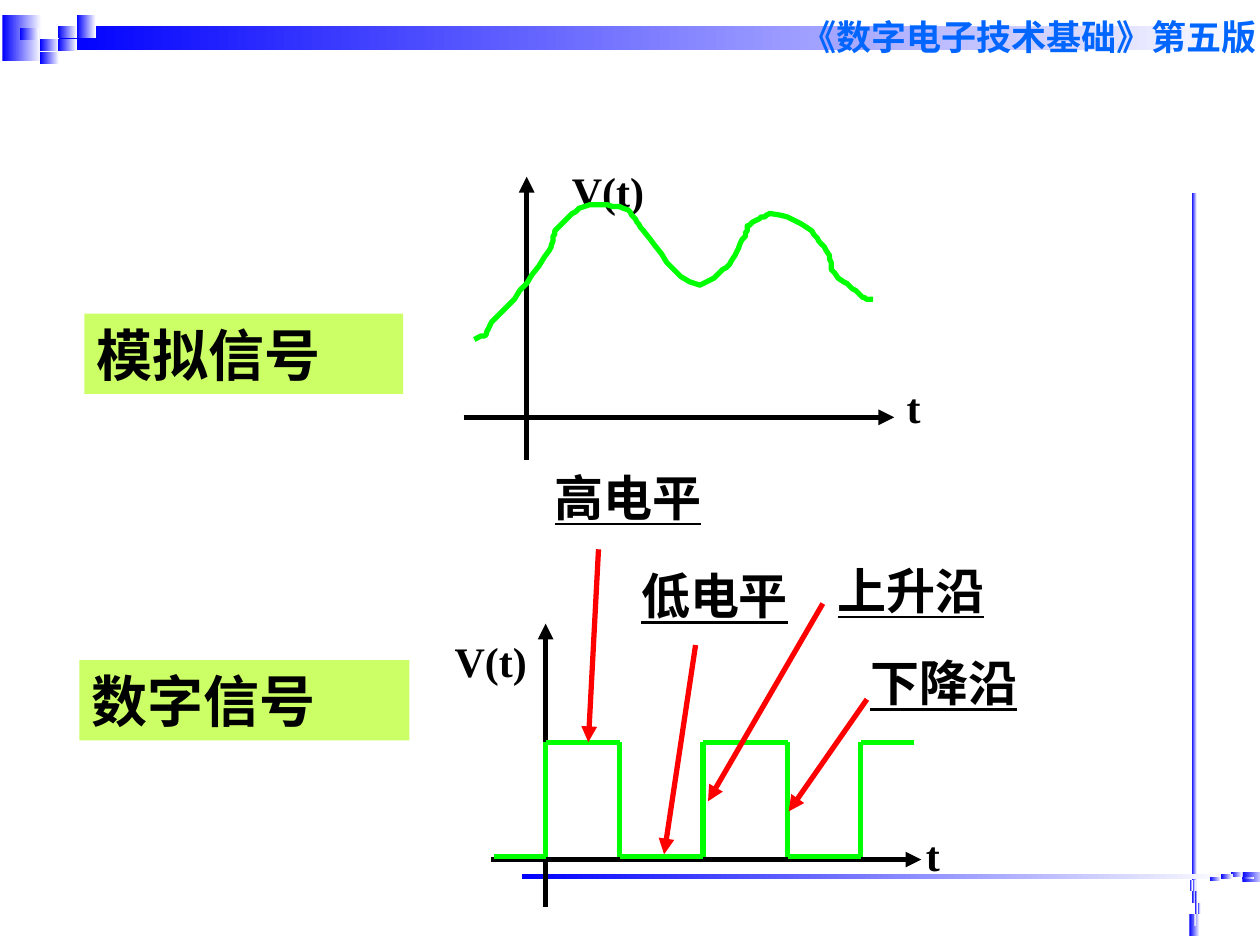
from itertools import pairwise

from lxml.etree import SubElement
from pptx import Presentation
from pptx.dml.color import RGBColor
from pptx.enum.shapes import MSO_CONNECTOR as Connector, MSO_SHAPE as Shape
from pptx.enum.text import MSO_ANCHOR as Anchor
from pptx.oxml.ns import qn
from pptx.util import Pt

BLACK, GREEN, RED, WHITE = "000000", "00FF00", "FF0000", "FFFFFF"
BLUE, HEADER_BLUE, LIME = "0000FF", "0066FF", "CCFF66"


def color(hex_string):
    return RGBColor.from_string(hex_string)


def write(shape, text, size=24, font="Times New Roman", ink=BLACK, underline=False, wrap=True):
    frame = shape.text_frame
    frame.word_wrap = wrap
    frame.vertical_anchor = Anchor.MIDDLE
    paragraph = frame.paragraphs[0]
    run = paragraph.add_run()
    run.text = text
    run.font.name = font
    run.font.size = Pt(size)
    run.font.bold = True
    run.font.underline = underline
    run.font.color.rgb = color(ink)
    return paragraph


def bezier_points(start, segments, steps=8):
    """Sample a chain of cubic curves, each given as two controls and an end."""
    points = [start]
    for x1, y1, x2, y2, x3, y3 in segments:
        x0, y0 = points[-1]
        for step in range(1, steps + 1):
            t = step / steps
            a, b, c, d = (1 - t) ** 3, 3 * t * (1 - t) ** 2, 3 * t * t * (1 - t), t ** 3
            points.append((a * x0 + b * x1 + c * x2 + d * x3,
                           a * y0 + b * y1 + c * y2 + d * y3))
    return points


class SlideBuilder:
    line_width = 3

    def __init__(self, slide):
        self.slide = slide

    def rectangle(self, left, top, width, height):
        shape = self.slide.shapes.add_shape(
            Shape.RECTANGLE, Pt(left), Pt(top), Pt(width), Pt(height))
        shape.shadow.inherit = False
        shape.line.fill.background()
        return shape

    def fading_bar(self, left, top, width, height):
        fill = self.rectangle(left, top, width, height).fill
        fill.gradient()
        fill.gradient_angle = 0
        for stop, hex_string in zip(fill.gradient_stops, (BLUE, WHITE)):
            stop.color.rgb = color(hex_string)

    def banner(self, text, left, top, width, height):
        shape = self.rectangle(left, top, width, height)
        shape.fill.solid()
        shape.fill.fore_color.rgb = color(LIME)
        paragraph = write(shape, text, size=32)
        paragraph.alignment = 1

    def label(self, text, left, top, width, height, **style):
        box = self.slide.shapes.add_textbox(Pt(left), Pt(top), Pt(width), Pt(height))
        write(box, text, **style)

    def line(self, start, end, ink, arrow=False):
        connector = self.slide.shapes.add_connector(
            Connector.STRAIGHT, *(Pt(value) for value in (*start, *end)))
        connector.line.width = Pt(self.line_width)
        connector.line.color.rgb = color(ink)
        if arrow:
            SubElement(connector.line._get_or_add_ln(), qn("a:tailEnd"), type="triangle")
        SubElement(connector._element.spPr, qn("a:effectLst"))

    def curve(self, points, ink):
        builder = self.slide.shapes.build_freeform(*points[0], scale=Pt(1))
        builder.add_line_segments(points[1:], close=False)
        shape = builder.convert_to_shape()
        shape.shadow.inherit = False
        shape.fill.background()
        shape.line.color.rgb = color(ink)
        shape.line.width = Pt(self.line_width)


# Corner decorations: large bars, then the size and places of the small bits
DECORATIONS = [
    ([(1.4, 8.6, 22.3, 26.6), (33.8, 15.1, 686.2, 13.7)], (10.8, 6.9),
     [(33.1, 15.1), (43.9, 8.6), (43.9, 15.1), (23, 22.3), (11.5, 15.8),
      (33.1, 22.3), (23, 29.5)]),
    ([(679.7, 522, 5.8, 13), (681.1, 110.2, 2.9, 406)], (1.4, 6.5),
     [(681.5, 509.4), (680, 502.9), (681.5, 502.9), (682.9, 515.9),
      (681.5, 522.4), (682.9, 509.4), (684.4, 515.9)]),
    ([(709.9, 498.2, 13, 5.8), (298.1, 499.7, 406, 2.9)], (6.5, 1.4),
     [(697.7, 501.1), (691.2, 501.8), (691.2, 501.1), (703.4, 499.7),
      (709.9, 501.1), (697.7, 499.7), (703.4, 498.2)]),
]

ANALOG_START = (271.4, 193.7)
ANALOG_SEGMENTS = [
    (285.8, 188.6, 269.3, 195.8, 285.8, 179.3),
    (296.6, 168.5, 306, 155.5, 313.9, 142.6),
    (316.8, 139, 315.4, 133.9, 318.2, 131),
    (325.4, 123.8, 327.6, 119.5, 337, 116.6),
    (338.4, 116.6, 354.2, 117.4, 358.6, 120.2),
    (362.9, 123.1, 364.3, 127.4, 367.2, 131),
    (376.6, 142.6, 384.5, 158.4, 399.6, 163.4),
    (406.1, 160.6, 409.7, 157, 415.4, 152.6),
    (419.8, 147.6, 422.6, 141.1, 425.5, 134.6),
    (427, 133.2, 426.2, 130.3, 427.7, 128.9),
    (430.6, 125.3, 436.3, 123.8, 439.9, 122.4),
    (457.9, 125.3, 452.2, 124.6, 464.4, 132.5),
    (466.6, 136.1, 470.2, 139, 472.3, 142.6),
    (477.4, 151.2, 470.9, 153.4, 482.4, 161.3),
    (486, 163.4, 488.9, 167, 492.5, 169.2),
    (494.6, 170.6, 499, 171.4, 499, 171.4),
]

# Axes: horizontal start and end, vertical start and end, then the labels
AXES = [
    ((265, 238.5), (511, 238.5), (301, 263), (301, 101), (511, 214.6, 48, 36),
     (319.7, 90.7, 79, 36)),
    ((280.6, 491.2), (526.5, 491.2), (311.8, 518.4), (311.8, 356.4), (522, 470.2, 48, 36),
     (252.7, 359.3, 61, 36)),
]

# Callouts: text, box, arrow start, arrow tip
CALLOUTS = [
    ("低电平", (359.3, 319.7, 104, 41), (397.5, 368.6), (379.5, 488.2)),
    ("上升沿", (471.6, 316.8, 102, 41), (470.2, 344.9), (404.6, 457.9)),
    ("下降沿", (490.3, 369.4, 108, 41), (495.4, 399.6), (450.7, 463.7)),
    ("高电平", (310, 263.5, 114, 41), (342, 313.9), (336.2, 424.1)),
]

EDGES = [282.2, 311.8, 354.2, 401.8, 450, 491.8, 522]
LOW, HIGH = 489.6, 424.1


def main():
    presentation = Presentation()
    presentation.slide_width, presentation.slide_height = Pt(720), Pt(540)
    builder = SlideBuilder(presentation.slides.add_slide(presentation.slide_layouts[6]))

    # Decorations and header
    for bars, size, places in DECORATIONS:
        for box in bars + [(*place, *size) for place in places]:
            builder.fading_bar(*box)
    builder.label("《数字电子技术基础》第五版", 450.7, 5, 292.3, 31.7,
                  size=20, font="Arial", ink=HEADER_BLUE, wrap=False)

    # Signal names
    builder.banner("模拟信号", 48.2, 179.3, 182.2, 45.8)
    builder.banner("数字信号", 45.4, 377.3, 188.6, 45.8)

    # Axes of both plots
    for left, right, bottom, top, time_box, voltage_box in AXES:
        builder.label("t", *time_box)
        builder.line(left, right, BLACK, arrow=True)
        builder.line(bottom, top, BLACK, arrow=True)
        builder.label("V(t)", *voltage_box)

    # Analog wave
    builder.curve(bezier_points(ANALOG_START, ANALOG_SEGMENTS), GREEN)

    # Digital wave: alternating levels joined by vertical edges
    for index, (left, right) in enumerate(pairwise(EDGES)):
        level, other = (HIGH, LOW) if index % 2 else (LOW, HIGH)
        builder.line((left, level), (right, level), GREEN)
        if right != EDGES[-1]:
            builder.line((right, level), (right, other), GREEN)

    # Callouts
    for text, box, start, tip in CALLOUTS:
        builder.label(text, *box, size=28, underline=True)
        builder.line(start, tip, RED, arrow=True)

    presentation.save("out.pptx")


if __name__ == "__main__":
    main()
